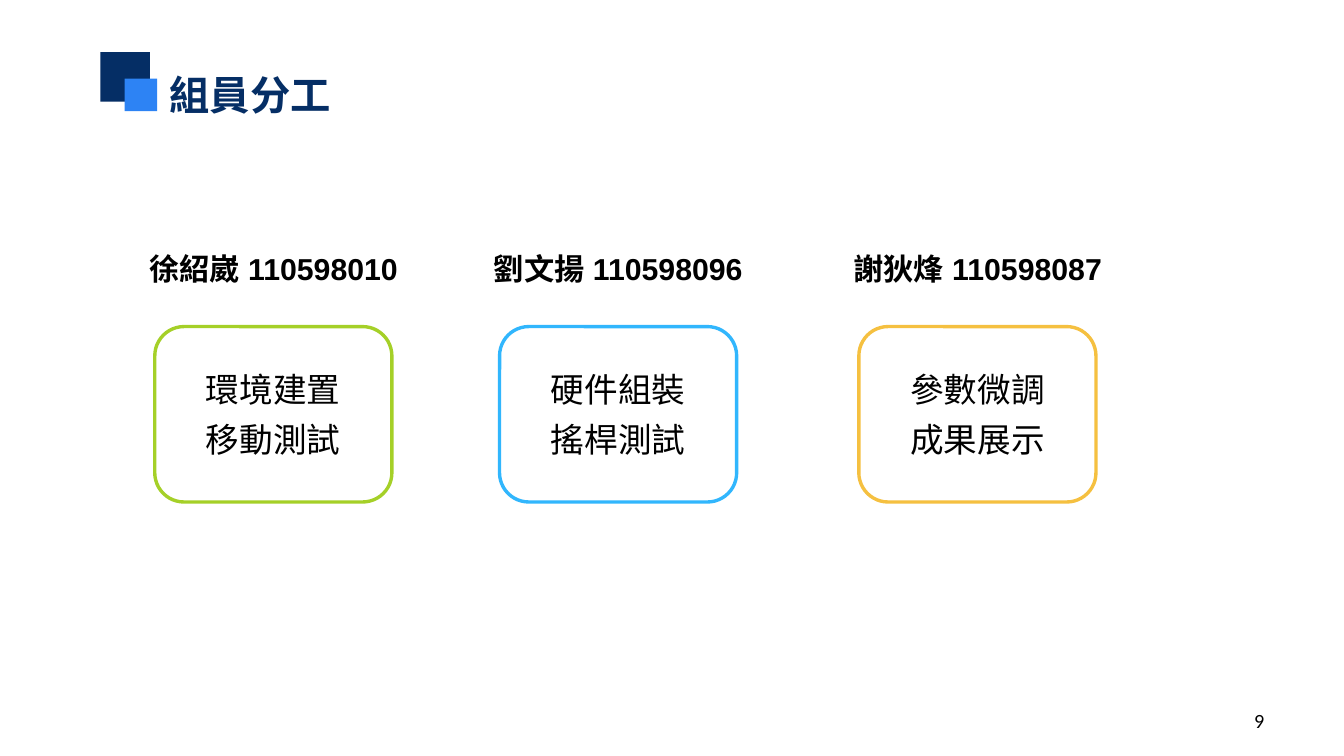
from lxml.etree import SubElement
from pptx import Presentation
from pptx.dml.color import RGBColor
from pptx.enum.shapes import MSO_SHAPE as Shape
from pptx.enum.text import MSO_ANCHOR as Anchor, MSO_AUTO_SIZE as AutoSize, PP_ALIGN as Align
from pptx.oxml.ns import qn
from pptx.util import Inches, Pt

SLIDE_WIDTH, SLIDE_HEIGHT = 11.11, 6.25
TITLE_ONLY = 5
NAVY = RGBColor(0x05, 0x2E, 0x65)
BLUE = RGBColor(0x2D, 0x83, 0xF4)
GREEN = RGBColor(0xA5, 0xD0, 0x28)
SKY = RGBColor(0x31, 0xB6, 0xFD)
AMBER = RGBColor(0xF5, 0xC0, 0x40)
BLACK = RGBColor(0, 0, 0)
WHITE = RGBColor(0xFF, 0xFF, 0xFF)

CARD_WIDTH, CARD_HEIGHT, CARD_TOP = 1.96, 1.45, 2.7
NAME_WIDTH, NAME_HEIGHT, NAME_TOP = 2.85, 0.4, 2.02
MEMBERS = [
    (2.26, "徐紹崴 110598010", "環境建置\n移動測試", GREEN),
    (5.11, "劉文揚 110598096", "硬件組裝\n搖桿測試", SKY),
    (8.08, "謝狄烽 110598087", "參數微調\n成果展示", AMBER),
]


def write(frame, text, font, size, color=BLACK, bold=False,
          align=Align.CENTER, anchor=Anchor.MIDDLE, space_before=0):
    frame.text = text
    frame.word_wrap = True
    frame.auto_size = AutoSize.NONE
    frame.vertical_anchor = anchor
    for paragraph in frame.paragraphs:
        paragraph.alignment = align
        paragraph.space_before = Pt(space_before)
        for run in paragraph.runs:
            run.font.name = font
            run.font.size = Pt(size)
            run.font.bold = bold
            run.font.color.rgb = color
            SubElement(run.font._element, qn("a:ea")).set("typeface", font)


def add_label(slide, box, text, font, size, **style):
    label = slide.shapes.add_textbox(*map(Inches, box))
    write(label.text_frame, text, font, size, **style)


def add_panel(slide, preset, box, fill, outline=None):
    panel = slide.shapes.add_shape(preset, *map(Inches, box))
    panel.shadow.inherit = False
    panel.fill.solid()
    panel.fill.fore_color.rgb = fill
    if outline is None:
        panel.line.fill.background()
    else:
        panel.line.color.rgb = outline
        panel.line.width = Pt(2)
    return panel


def add_heading(slide, text):
    title = slide.shapes.title
    title.left, title.top, title.width, title.height = map(Inches, (1.3, 0.53, 5.35, 0.5))
    write(title.text_frame, text, "Noto Sans CJK SC", 24, NAVY, True, Align.LEFT)
    for left, top, side, color in [(0.83, 0.43, 0.41, NAVY), (1.03, 0.65, 0.27, BLUE)]:
        add_panel(slide, Shape.RECTANGLE, (left, top, side, side), color)


def add_member(slide, center, name, duties, color):
    name_box = (center - NAME_WIDTH / 2, NAME_TOP, NAME_WIDTH, NAME_HEIGHT)
    add_label(slide, name_box, name, "Arial", 18, bold=True,
              anchor=Anchor.TOP, space_before=6)
    card_box = (center - CARD_WIDTH / 2, CARD_TOP, CARD_WIDTH, CARD_HEIGHT)
    card = add_panel(slide, Shape.ROUNDED_RECTANGLE, card_box, WHITE, color)
    write(card.text_frame, duties, "Calibri", 20, space_before=6)


def main():
    deck = Presentation()
    deck.slide_width, deck.slide_height = Inches(SLIDE_WIDTH), Inches(SLIDE_HEIGHT)
    slide = deck.slides.add_slide(deck.slide_layouts[TITLE_ONLY])
    add_heading(slide, "組員分工")
    for member in MEMBERS:
        add_member(slide, *member)
    add_label(slide, (7.96, 5.79, 2.59, 0.33), "9", "Calibri", 12, align=Align.RIGHT)
    deck.save("out.pptx")


main()
